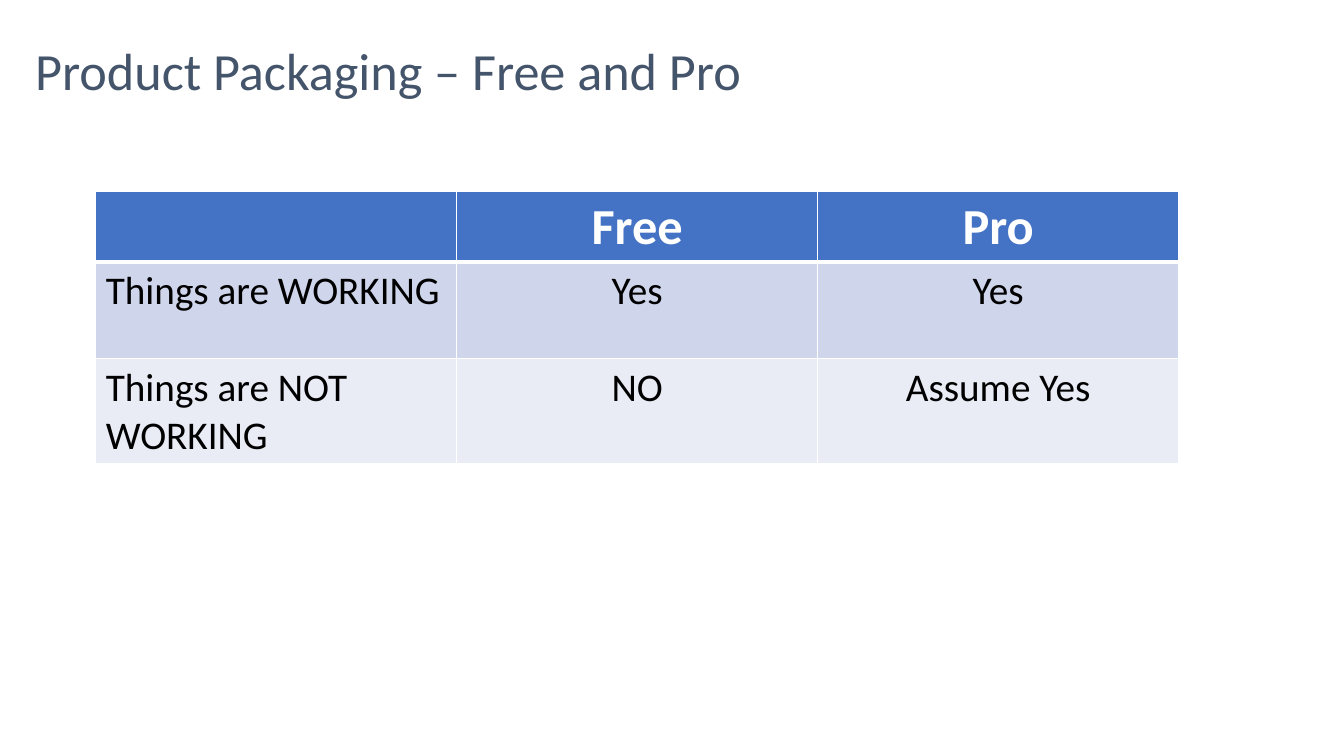
from lxml import etree
from pptx import Presentation
from pptx.dml.color import RGBColor
from pptx.enum.text import MSO_ANCHOR, PP_ALIGN
from pptx.oxml.ns import qn
from pptx.util import Inches, Pt

SLATE = RGBColor(0x44, 0x54, 0x6A)
BLUE = RGBColor(0x44, 0x72, 0xC4)
BAND_DARK = RGBColor(0xCF, 0xD5, 0xEA)
BAND_LIGHT = RGBColor(0xE9, 0xEB, 0xF5)
WHITE = RGBColor(0xFF, 0xFF, 0xFF)
BLACK = RGBColor(0, 0, 0)

ROWS = [
    ("", "Free", "Pro"),
    ("Things are WORKING", "Yes", "Yes"),
    ("Things are NOT WORKING", "NO", "Assume Yes"),
]
ROW_HEIGHTS = [0.7, 0.96, 1.04]
ROW_FILLS = [BLUE, BAND_DARK, BAND_LIGHT]
COLUMN_WIDTH = 3.58


def write(tf, text, size, color, bold=False, align=PP_ALIGN.LEFT, spacing=None):
    p = tf.paragraphs[0]
    p.alignment = align
    p.line_spacing = spacing
    r = p.add_run()
    r.text = text
    r.font.name = "Calibri"
    r.font.size = Pt(size)
    r.font.bold = bold
    r.font.color.rgb = color


def add_title(s, text):
    sp = s.shapes.add_textbox(Inches(0.25), Inches(0.19), Inches(8.62), Inches(1.07))
    tf = sp.text_frame
    tf.word_wrap = True
    tf.vertical_anchor = MSO_ANCHOR.MIDDLE
    write(tf, text, size=37.3, color=SLATE, spacing=0.9)


def set_borders(cell, widths):
    tc_pr = cell._tc.get_or_add_tcPr()
    for i, (side, width) in enumerate(widths.items()):
        ln = etree.Element(qn(f"a:ln{side}"), w=str(Pt(width)))
        fill = etree.SubElement(ln, qn("a:solidFill"))
        etree.SubElement(fill, qn("a:srgbClr"), val=str(WHITE))
        tc_pr.insert(i, ln)


def add_packaging_table(s):
    table = s.shapes.add_table(
        len(ROWS), len(ROWS[0]), Inches(0.95), Inches(1.9),
        Inches(COLUMN_WIDTH * len(ROWS[0])), Inches(sum(ROW_HEIGHTS))).table
    for column in table.columns:
        column.width = Inches(COLUMN_WIDTH)
    for i, values in enumerate(ROWS):
        table.rows[i].height = Inches(ROW_HEIGHTS[i])
        header = i == 0
        for j, text in enumerate(values):
            cell = table.cell(i, j)
            cell.fill.solid()
            cell.fill.fore_color.rgb = ROW_FILLS[i]
            set_borders(cell, {"L": 1, "R": 1, "T": 3 if i == 1 else 1,
                               "B": 3 if header else 1})
            if text:
                write(cell.text_frame, text, size=36 if header else 28,
                      color=WHITE if header else BLACK, bold=header,
                      align=PP_ALIGN.CENTER if j else PP_ALIGN.LEFT)


def main():
    prs = Presentation()
    prs.slide_width = Inches(13.33)
    prs.slide_height = Inches(7.5)
    s = prs.slides.add_slide(prs.slide_layouts[6])
    add_title(s, "Product Packaging – Free and Pro")
    add_packaging_table(s)
    prs.save("out.pptx")


if __name__ == "__main__":
    main()
